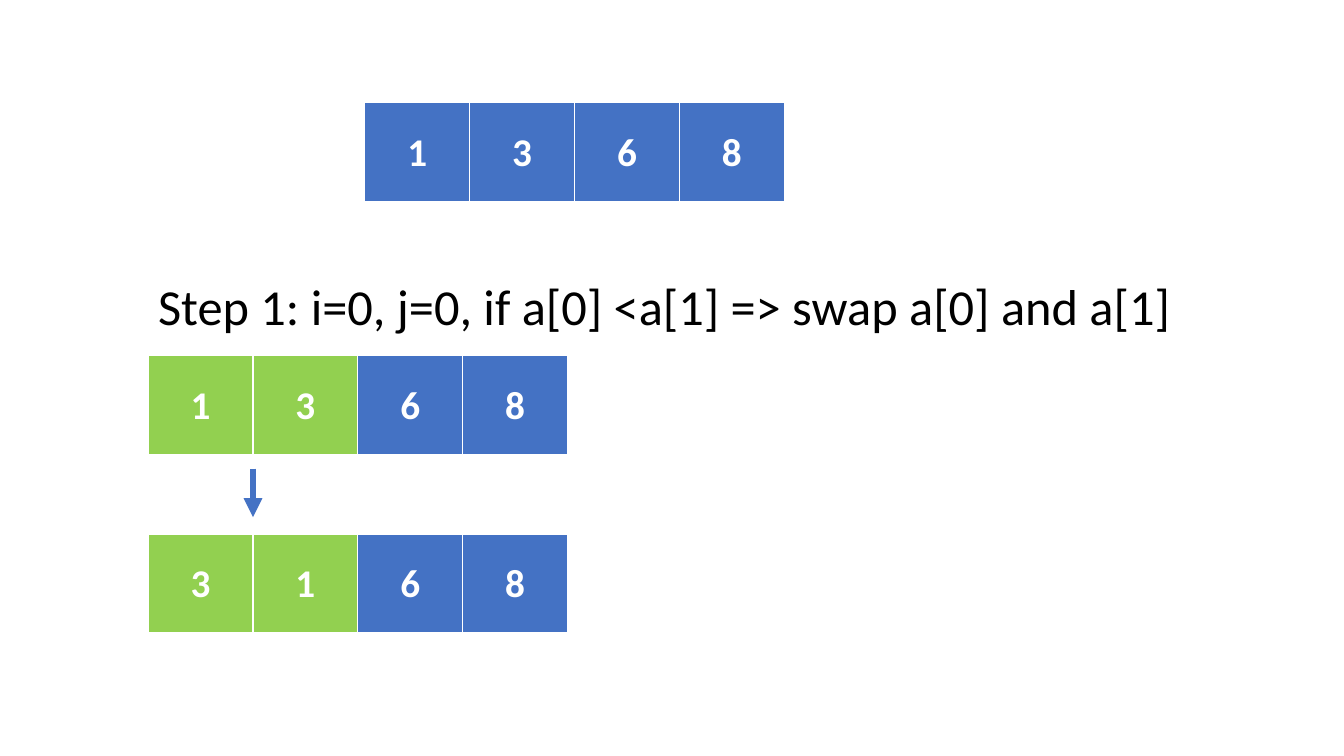
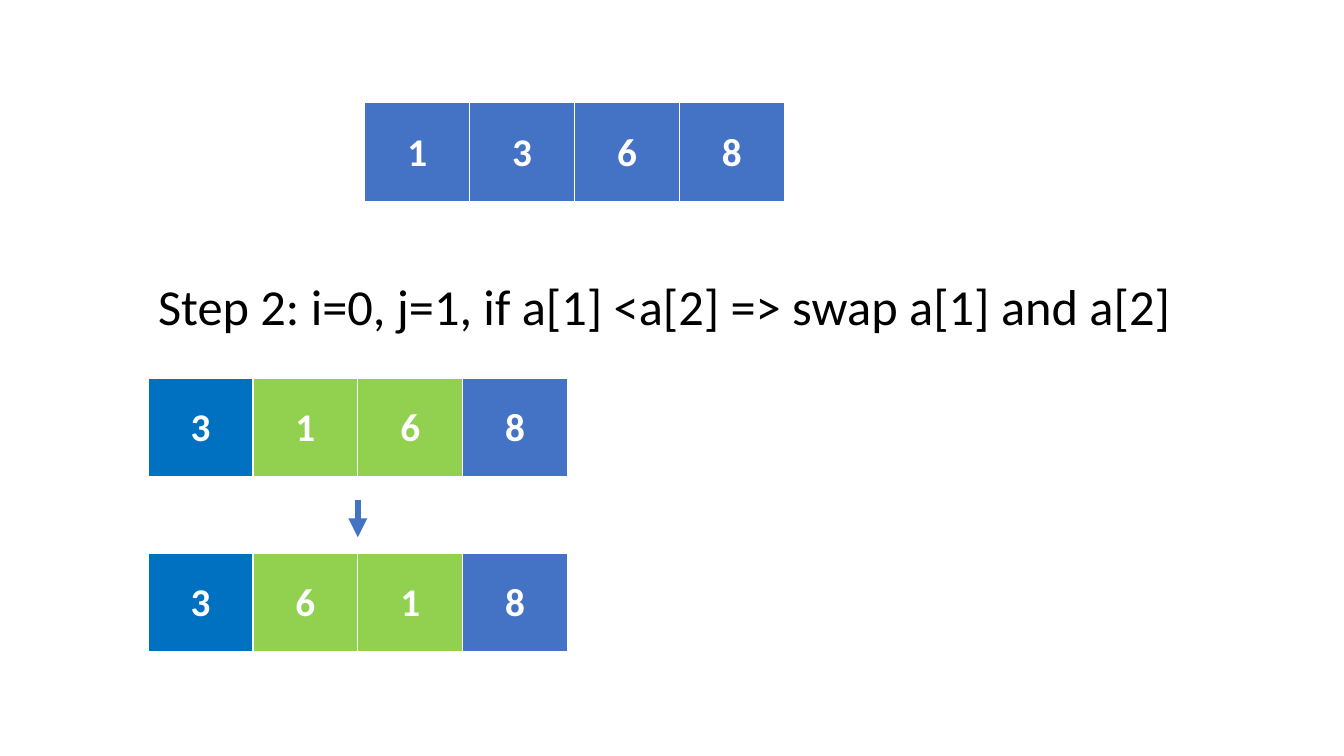
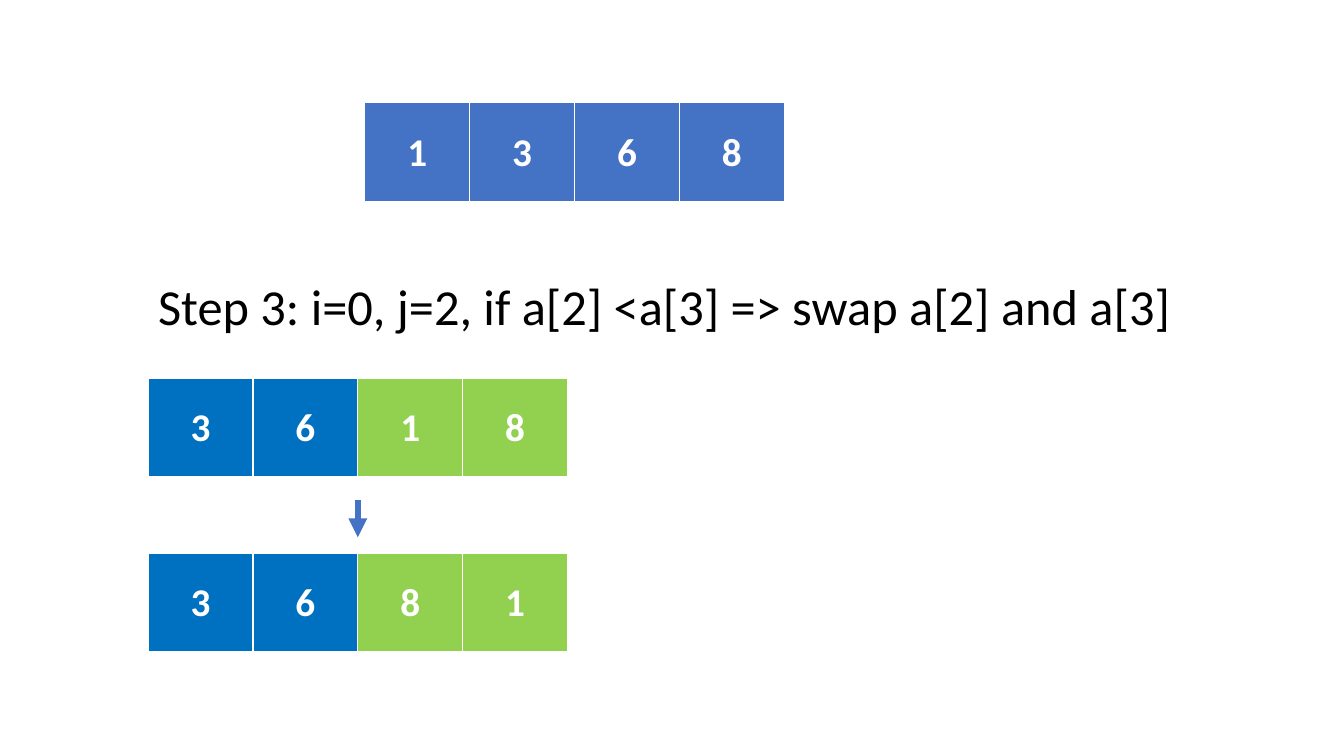
from dataclasses import dataclass

from pptx import Presentation
from pptx.dml.color import RGBColor
from pptx.enum.shapes import MSO_CONNECTOR
from pptx.enum.text import MSO_ANCHOR, MSO_AUTO_SIZE, PP_ALIGN
from pptx.oxml import parse_xml
from pptx.oxml.ns import nsdecls
from pptx.util import Pt

STRAIGHT = MSO_CONNECTOR.STRAIGHT
MIDDLE = MSO_ANCHOR.MIDDLE
GROW = MSO_AUTO_SIZE.SHAPE_TO_FIT_TEXT
LEFT, CENTER = PP_ALIGN.LEFT, PP_ALIGN.CENTER


@dataclass(frozen=True)
class Theme:
    font: str = "Calibri"
    blue: str = "4472C4"
    done: str = "0070C0"
    swap: str = "92D050"
    white: str = "FFFFFF"
    black: str = "000000"
    head: int = 36
    digit: int = 28
    arrow: float = 4.5


THEME = Theme()
CELL_W, CELL_H = 74.88, 71.28
EDGE = 105.84
DATA = [1, 3, 6, 8]


def write(frame, text, size, color, bold=False, align=LEFT):
    para = frame.paragraphs[0]
    para.alignment = align
    run = para.add_run()
    run.text = text
    font = run.font
    font.name, font.size, font.bold = THEME.font, Pt(size), bold
    font.color.rgb = RGBColor.from_string(color)


def border(cell):
    props = cell._tc.get_or_add_tcPr()
    for side, width in (("L", 1), ("R", 1), ("T", 1), ("B", 3)):
        props.append(parse_xml(
            f'<a:ln{side} {nsdecls("a")} w="{Pt(width)}"><a:solidFill>'
            f'<a:srgbClr val="{THEME.white}"/></a:solidFill></a:ln{side}>'))


def array(slide, left, top, values, fills):
    """One row of equal cells, starting at left, top."""
    count = len(values)
    table = slide.shapes.add_table(1, count, Pt(left), Pt(top),
                                   Pt(CELL_W * count), Pt(CELL_H)).table
    table.first_row = table.horz_banding = False
    for col, (value, fill) in enumerate(zip(values, fills)):
        table.columns[col].width = Pt(CELL_W)
        cell = table.cell(0, col)
        cell.vertical_anchor = MIDDLE
        border(cell)
        cell.fill.solid()
        cell.fill.fore_color.rgb = RGBColor.from_string(fill)
        write(cell.text_frame, str(value), THEME.digit, THEME.white,
              bold=True, align=CENTER)


def heading(slide, left, top, width, text):
    box = slide.shapes.add_textbox(Pt(left), Pt(top), Pt(width), Pt(51))
    frame = box.text_frame
    frame.word_wrap = True
    frame.auto_size = GROW
    write(frame, text, THEME.head, THEME.black)


def arrow(slide, x, top, end):
    line = slide.shapes.add_connector(STRAIGHT, Pt(x), Pt(top), Pt(x), Pt(end))
    line.line.width = Pt(THEME.arrow)
    line.line.color.rgb = RGBColor.from_string(THEME.blue)
    line.line._get_or_add_ln().append(
        parse_xml(f'<a:tailEnd {nsdecls("a")} type="triangle"/>'))
    line._element.spPr.append(parse_xml(f'<a:effectLst {nsdecls("a")}/>'))


def step(deck, j, values, width, rows, shaft, mark):
    """Slide for one compare-and-swap; returns the values after it."""
    slide = deck.slides.add_slide(deck.slide_layouts[6])
    # Starting data and rule
    array(slide, 260.64, 73.44, DATA, [THEME.blue] * len(DATA))
    heading(slide, EDGE, 192.96, width,
            f"Step {j + 1}: i=0, j={j}, if a[{j}] <a[{j + 1}] "
            f"=> swap a[{j}] and a[{j + 1}]")
    # Before and after the swap
    after = list(values)
    after[j], after[j + 1] = after[j + 1], after[j]
    fills = ([THEME.done] * j + [THEME.swap] * 2
             + [THEME.blue] * (len(values) - j - 2))
    for top, row in zip(rows, (values, after)):
        array(slide, EDGE, top, row, fills)
    arrow(slide, EDGE + mark * CELL_W, *shaft)
    return after


def main():
    deck = Presentation()
    deck.slide_width, deck.slide_height = Pt(960), Pt(540)
    # Heading width, row tops, arrow ends, arrow column
    first = (792.72, (254.16, 381.6), (334.8, 369.36), 1)
    later = (748.08, (270, 395.28), (357.12, 383.76), 2)
    values = DATA
    for j, place in enumerate((first, later, later)):
        values = step(deck, j, values, *place)
    deck.save("out.pptx")


if __name__ == "__main__":
    main()
